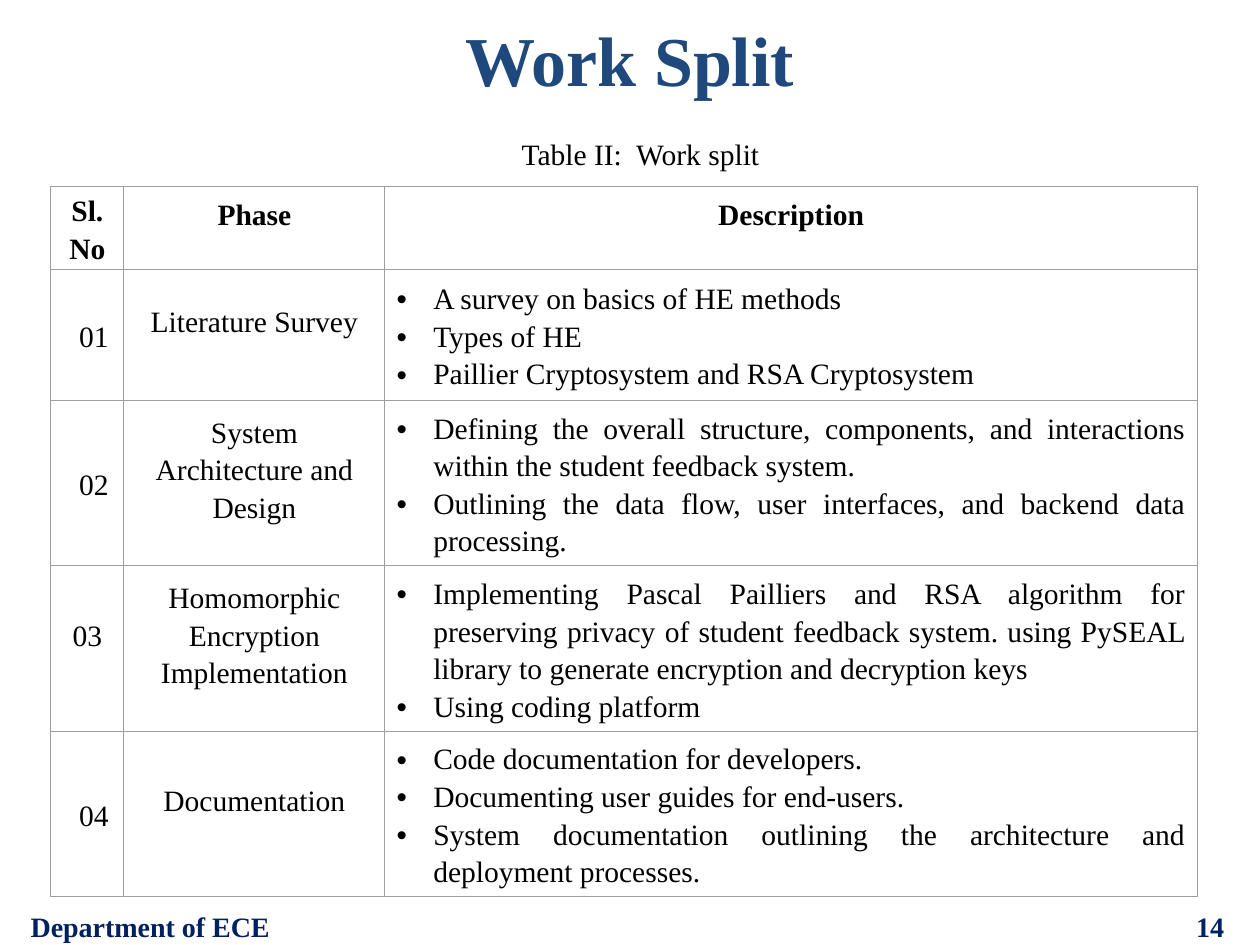
from dataclasses import dataclass

from lxml.etree import SubElement
from pptx import Presentation
from pptx.dml.color import RGBColor
from pptx.enum.text import MSO_ANCHOR as Anchor, PP_ALIGN as Align
from pptx.oxml.ns import qn
from pptx.slide import Slide
from pptx.table import _Cell as Cell
from pptx.text.text import TextFrame
from pptx.util import Inches, Pt

FONT = "Times New Roman"
COLORS = {"title": "1F497D", "footer": "002060", "text": "000000", "border": "9E9E9E"}
COLUMN_WIDTHS = [0.62, 2.21, 6.88]
ROW_HEIGHTS = [0.7, 1.11, 1.4, 1.4, 1.4]
LIFT = 0.25  # bottom margin that raises a cell's text above the middle


@dataclass
class Phase:
    number: str
    name: list[str]
    tasks: list[str]
    number_left: float = 0.16
    number_right: float = 0.05
    number_lift: float = 0


@dataclass
class Label:
    text: str
    box: tuple[float, float, float, float]
    size: float
    color: str
    bold: bool = True
    align: Align = Align.CENTER
    inset: float = 0


PHASES = [
    Phase("01", ["Literature Survey"], [
        "A survey on basics of HE methods",
        "Types of HE",
        "Paillier Cryptosystem and RSA Cryptosystem",
    ]),
    Phase("02", ["System Architecture and", "Design"], [
        "Defining the overall structure, components, and interactions "
        "within the student feedback system.",
        "Outlining the data flow, user interfaces, and backend data processing.",
    ]),
    Phase("03", ["Homomorphic", "Encryption Implementation"], [
        "Implementing Pascal Pailliers and RSA algorithm for preserving privacy of "
        "student feedback system. using PySEAL library to generate encryption "
        "and decryption keys",
        "Using coding platform",
    ], number_left=0.1, number_right=0.1, number_lift=LIFT),
    Phase("04", ["Documentation"], [
        "Code documentation for developers.",
        "Documenting user guides for end-users.",
        "System documentation outlining the architecture and deployment processes.",
    ]),
]

LABELS = [
    Label("Department of ECE", (0.26, 7.64, 2.16, 0.29), 17.1, "footer", align=Align.LEFT),
    Label("14", (10.13, 7.64, 0.29, 0.29), 17.1, "footer", align=Align.LEFT),
    Label("Work Split", (0.1, 0, 10.47, 0.72), 42.7, "title"),
    Label("Table II:  Work split", (1.06, 0.99, 8.73, 0.57), 18, "text", bold=False, inset=0.1),
]


def write(frame: TextFrame, lines: list[str], *, size: float = 18, color: str = "text",
          bold: bool = False, align: Align = Align.CENTER, spacing: float = 1.15,
          bullet: bool = False) -> None:
    for index, line in enumerate(lines):
        paragraph = frame.add_paragraph() if index else frame.paragraphs[0]
        paragraph.alignment = align
        paragraph.line_spacing = spacing
        if bullet:
            properties = paragraph._p.get_or_add_pPr()
            properties.set("marL", str(Inches(0.31)))
            properties.set("indent", str(Inches(-0.31)))
            SubElement(properties, qn("a:buFont"), typeface="Arial")
            SubElement(properties, qn("a:buChar"), char="•")
        run = paragraph.add_run()
        run.text = line
        run.font.name = FONT
        run.font.size = Pt(size)
        run.font.bold = bold
        run.font.color.rgb = RGBColor.from_string(COLORS[color])


def add_label(slide: Slide, label: Label) -> None:
    frame = slide.shapes.add_textbox(*map(Inches, label.box)).text_frame
    frame.word_wrap = True
    frame.margin_left = frame.margin_right = Inches(label.inset)
    frame.margin_top = frame.margin_bottom = Inches(label.inset)
    write(frame, [label.text], size=label.size, color=label.color,
          bold=label.bold, align=label.align, spacing=1.2)


def style_cell(cell: Cell, *, left: float = 0.1, right: float = 0.1, lift: float = 0) -> TextFrame:
    """Set margins, borders and an empty fill, and return the cell's text frame."""
    cell.vertical_anchor = Anchor.MIDDLE
    cell.margin_left, cell.margin_right = Inches(left), Inches(right)
    cell.margin_top, cell.margin_bottom = Inches(0), Inches(lift)
    properties = cell._tc.get_or_add_tcPr()
    for side in ("lnL", "lnR", "lnT", "lnB"):
        line = SubElement(properties, qn(f"a:{side}"), w=str(Pt(0.75)))
        fill = SubElement(line, qn("a:solidFill"))
        SubElement(fill, qn("a:srgbClr"), val=COLORS["border"])
    cell.fill.background()
    return cell.text_frame


def add_work_table(slide: Slide) -> None:
    table = slide.shapes.add_table(
        len(ROW_HEIGHTS), len(COLUMN_WIDTHS), Inches(0.43), Inches(1.58),
        Inches(sum(COLUMN_WIDTHS)), Inches(sum(ROW_HEIGHTS))).table
    table.horz_banding = False
    for column, width in zip(table.columns, COLUMN_WIDTHS):
        column.width = Inches(width)
    for row, height in zip(table.rows, ROW_HEIGHTS):
        row.height = Inches(height)

    headings = [(["Sl.", "No"], 0), (["Phase"], LIFT), (["Description"], LIFT)]
    for column, (heading, lift) in enumerate(headings):
        write(style_cell(table.cell(0, column), lift=lift), heading, bold=True)

    for row, phase in enumerate(PHASES, start=1):
        number = style_cell(table.cell(row, 0), left=phase.number_left,
                            right=phase.number_right, lift=phase.number_lift)
        write(number, [phase.number])
        write(style_cell(table.cell(row, 1), lift=LIFT), phase.name)
        write(style_cell(table.cell(row, 2)), phase.tasks, align=Align.JUSTIFY, bullet=True)


def main() -> None:
    presentation = Presentation()
    presentation.slide_width, presentation.slide_height = Inches(10.67), Inches(8)
    slide = presentation.slides.add_slide(presentation.slide_layouts[6])
    for label in LABELS:
        add_label(slide, label)
    add_work_table(slide)
    presentation.save("out.pptx")


if __name__ == "__main__":
    main()
